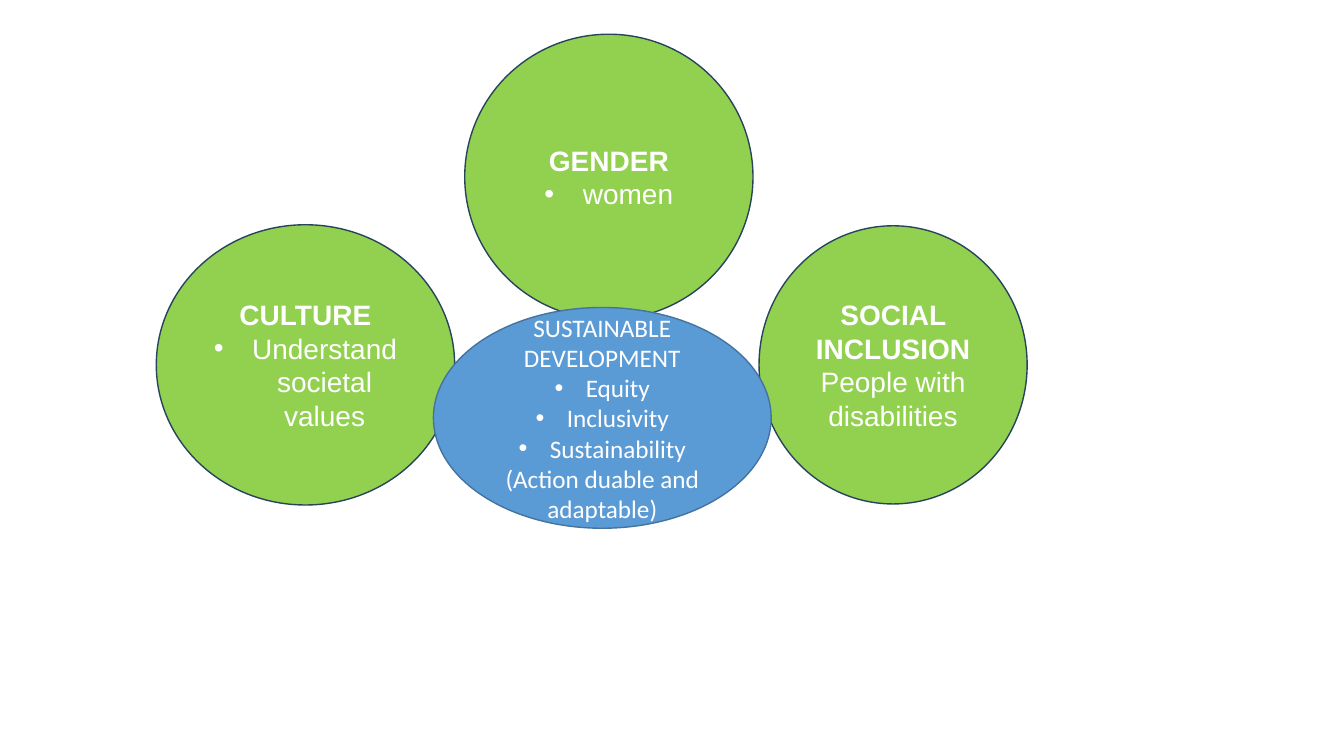
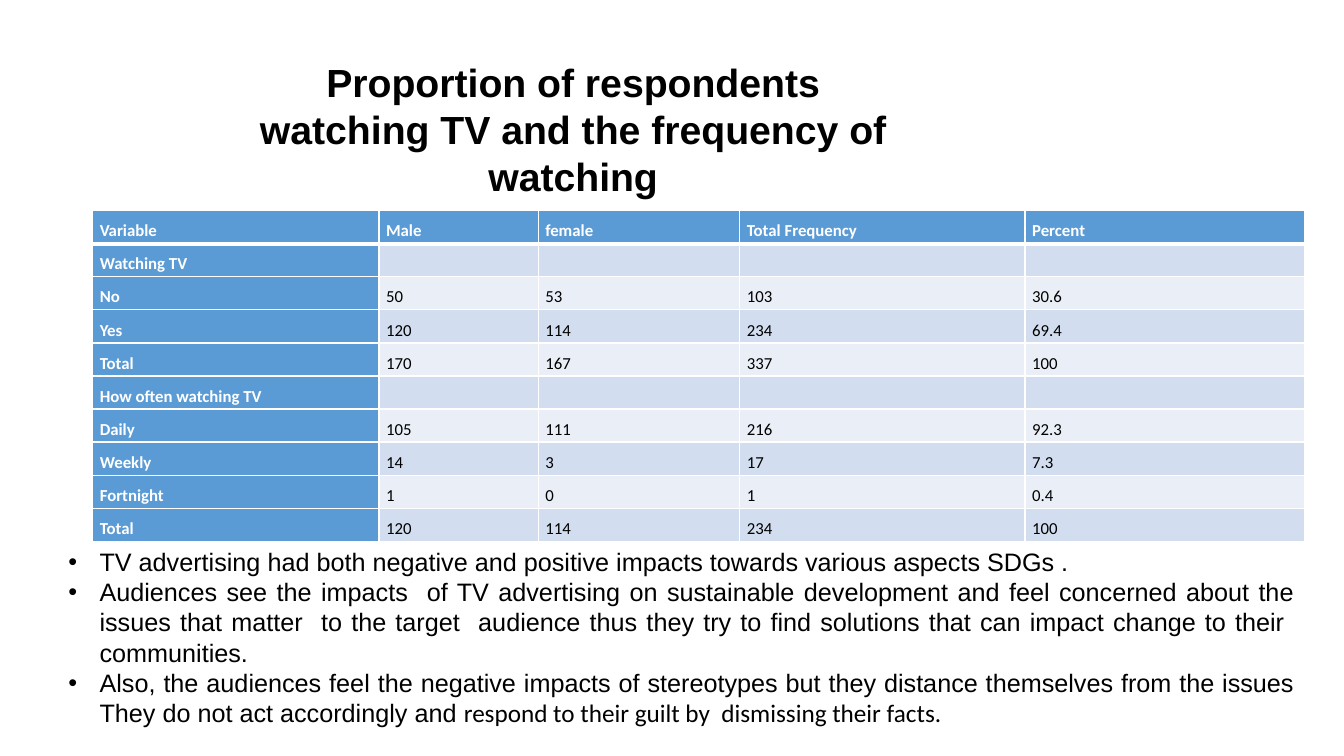
"""Build two slides: a circle diagram and a table of TV viewing habits."""
from lxml import etree
from pptx import Presentation
from pptx.dml.color import RGBColor
from pptx.enum.shapes import MSO_SHAPE
from pptx.enum.text import MSO_ANCHOR, MSO_AUTO_SIZE, PP_ALIGN
from pptx.oxml.ns import qn
from pptx.util import Inches, Pt

OVAL = MSO_SHAPE.OVAL
TOP, MIDDLE = MSO_ANCHOR.TOP, MSO_ANCHOR.MIDDLE
FIXED = MSO_AUTO_SIZE.NONE
CENTER, JUSTIFY = PP_ALIGN.CENTER, PP_ALIGN.JUSTIFY
WIDE, HIGH = Inches(13.333), Inches(7.5)
TITLE_ONLY, BLANK = 5, 6
SANS, BODY = "Arial", "Calibri"
COLORS = {
    "green": "92D050", "navy": "28445D", "blue": "5B9BD5", "steel": "43739E",
    "dark": "D2DEEF", "light": "EAEFF7", "white": "FFFFFF", "black": "000000",
}
CIRCLES = [
    ((11.63, 29.73, 22.2, 37.07),
     [("CULTURE", True, False), ("Understand societal values", False, True)]),
    ((34.58, 4.53, 21.45, 37.73),
     [("GENDER", True, False), ("women", False, True)]),
    ((56.48, 29.87, 19.95, 36.8),
     [("SOCIAL INCLUSION", True, False),
      ("People with disabilities", False, False)]),
]
CORE = [
    ("SUSTAINABLE DEVELOPMENT", False, False),
    ("Equity", False, True),
    ("Inclusivity", False, True),
    ("Sustainability", False, True),
    ("(Action duable and adaptable)", False, False),
]
TITLE = "Proportion of respondents watching TV and the frequency of watching"
SHARES = [2.84, 1.58, 2, 2.83, 2.77]
ROWS = [
    ["Variable", "Male", "female", "Total Frequency", "Percent"],
    ["Watching TV", "", "", "", ""],
    ["No", "50", "53", "103", "30.6"],
    ["Yes", "120", "114", "234", "69.4"],
    ["Total", "170", "167", "337", "100"],
    ["How often watching TV", "", "", "", ""],
    ["Daily", "105", "111", "216", "92.3"],
    ["Weekly", "14", "3", "17", "7.3"],
    ["Fortnight", "1", "0", "1", "0.4"],
    ["Total", "120", "114", "234", "100"],
]
NOTES = [
    "TV advertising had both negative and positive impacts towards various "
    "aspects SDGs .",
    "Audiences see the impacts  of TV advertising on sustainable development "
    "and feel concerned about the issues that matter  to the target  audience "
    "thus they try to find solutions that can impact change to their  "
    "communities.",
    "Also, the audiences feel the negative impacts of stereotypes but they "
    "distance themselves from the issues They do not act accordingly and ",
]
CLOSE = "respond to their guilt by  dismissing their facts."


def rgb(name):
    """Return the named colour."""
    return RGBColor.from_string(COLORS[name])


def area(left, top, width, height):
    """Turn percentages of the slide into lengths."""
    return [int(part * side / 100) for part, side in
            zip((left, top, width, height), (WIDE, HIGH, WIDE, HIGH))]


def paint(item, color):
    """Give an item a solid fill."""
    item.fill.solid()
    item.fill.fore_color.rgb = rgb(color)


def ink(run, font, size, color, bold=False):
    """Format one run."""
    run.font.name, run.font.size, run.font.bold = font, Pt(size), bold
    run.font.color.rgb = rgb(color)


def bullet(para, indent):
    """Give a paragraph a hanging round bullet."""
    props = para._p.get_or_add_pPr()
    props.set("marL", str(Inches(indent)))
    props.set("indent", str(-Inches(indent)))
    etree.SubElement(props, qn("a:buFont"), typeface=SANS)
    etree.SubElement(props, qn("a:buChar"), char="•")


def write(frame, lines, font, size, color, align, indent=0.31):
    """Fill a frame with (text, bold, bulleted) lines."""
    frame.word_wrap = True
    for index, (text, bold, dot) in enumerate(lines):
        para = frame.add_paragraph() if index else frame.paragraphs[0]
        para.text = text
        para.alignment = align
        if dot:
            bullet(para, indent)
        for run in para.runs:
            ink(run, font, size, color, bold)


def oval(shapes, place, lines, fill, line, font, size, indent):
    """Draw an ellipse with centred white text."""
    shape = shapes.add_shape(OVAL, *area(*place))
    shape.shadow.inherit = False
    paint(shape, fill)
    shape.line.color.rgb = rgb(line)
    shape.line.width = Pt(1)
    shape.text_frame.vertical_anchor = MIDDLE
    write(shape.text_frame, lines, font, size, "white", CENTER, indent)


def edge(cell, side, width):
    """Draw one white border of a cell."""
    line = etree.SubElement(cell._tc.get_or_add_tcPr(), qn("a:ln" + side),
                            w=str(Pt(width)))
    fill = etree.SubElement(line, qn("a:solidFill"))
    etree.SubElement(fill, qn("a:srgbClr"), val=COLORS["white"])


def dress(cell, text, row, col):
    """Fill and format one table cell."""
    head = row == 0 or col == 0
    cell.margin_left = cell.margin_right = Inches(0.07)
    cell.margin_top = cell.margin_bottom = 0
    for side in "LRTB":
        thick = (side, row) in (("B", 0), ("T", 1))
        edge(cell, side, 3 if thick else 1)
    paint(cell, "blue" if head else "dark" if row % 2 else "light")
    if text:
        write(cell.text_frame, [(text, head, False)], BODY, 12,
              "white" if head else "black", JUSTIFY)
        cell.text_frame.paragraphs[0].line_spacing = 1.5


def grid(slide, place):
    """Add the table of viewing habits."""
    left, top, width, height = area(*place)
    table = slide.shapes.add_table(len(ROWS), len(SHARES), left, top,
                                   width, height).table
    table.first_col = True
    for col, share in zip(table.columns, SHARES):
        col.width = int(width * share / sum(SHARES))
    for row, texts in enumerate(ROWS):
        for col, text in enumerate(texts):
            dress(table.cell(row, col), text, row, col)


def title(slide, text, place):
    """Place and format the title."""
    head = slide.shapes.title
    head.left, head.top, head.width, head.height = area(*place)
    head.text_frame.vertical_anchor = TOP
    head.text_frame.auto_size = FIXED
    write(head.text_frame, [(text, True, False)], SANS, 28, "black", CENTER)


def notes(slide, place):
    """Add the bulleted findings."""
    frame = slide.shapes.add_textbox(*area(*place)).text_frame
    write(frame, [(text, False, True) for text in NOTES], SANS, 18,
          "black", JUSTIFY)
    run = frame.paragraphs[-1].add_run()
    run.text = CLOSE
    ink(run, BODY, 18, "black")


def main():
    """Build and save the slides."""
    deck = Presentation()
    deck.slide_width, deck.slide_height = WIDE, HIGH

    slide = deck.slides.add_slide(deck.slide_layouts[BLANK])
    group = slide.shapes.add_group_shape()
    for place, lines in CIRCLES:
        oval(group.shapes, place, lines, "green", "navy", SANS, 20, 0.38)
    oval(slide.shapes, (32.25, 40.67, 25.13, 29.2), CORE,
         "blue", "steel", BODY, 18, 0.31)

    slide = deck.slides.add_slide(deck.slide_layouts[TITLE_ONLY])
    title(slide, TITLE, (17.63, 7.07, 50.03, 20))
    grid(slide, (6.9, 27.87, 90.15, 43.73))
    notes(slide, (4.35, 71.6, 92.7, 25.6))

    deck.save("out.pptx")


if __name__ == "__main__":
    main()
